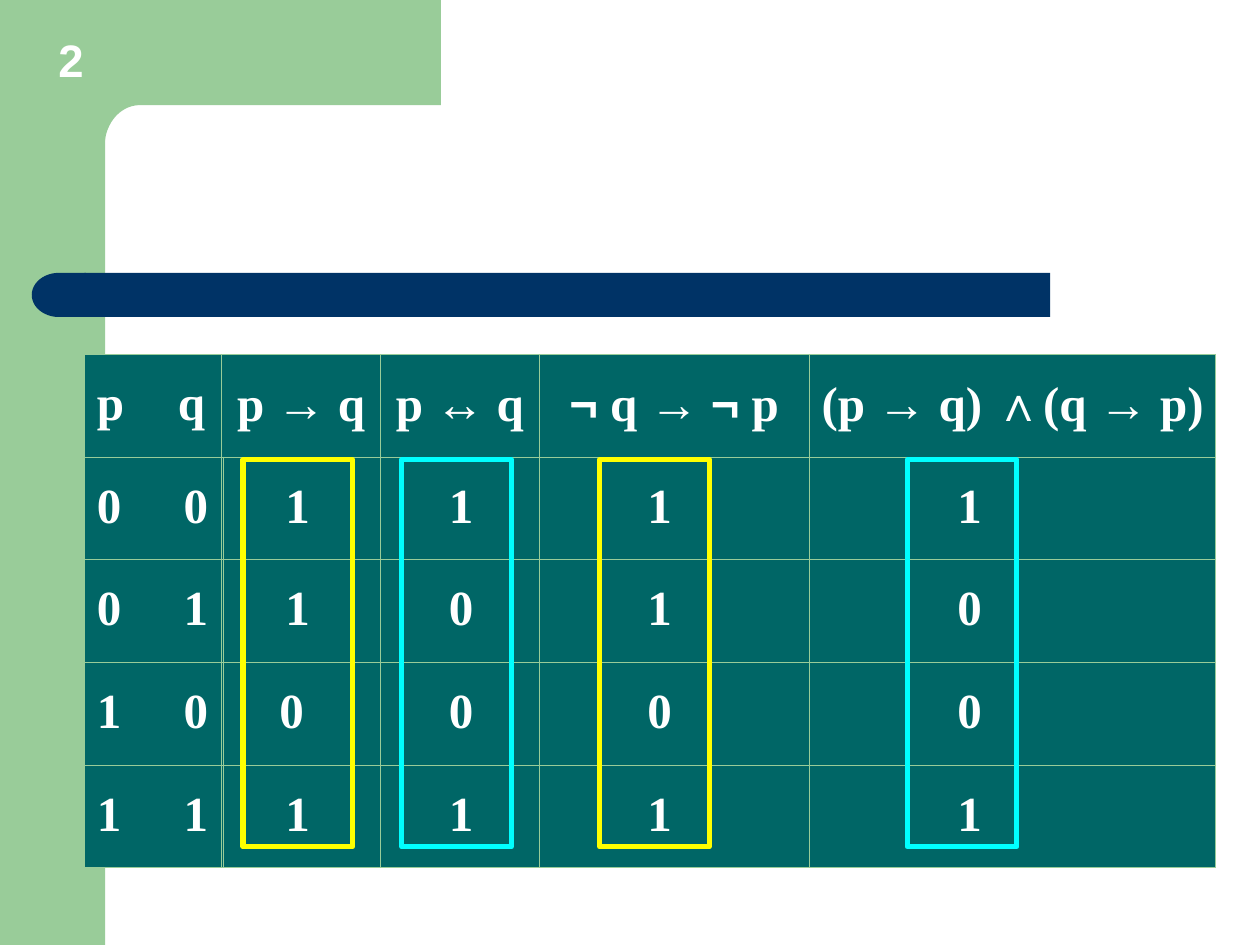
"""Build a slide with a truth table and its matching columns framed."""
import math
from itertools import groupby

from lxml import etree
from pptx import Presentation
from pptx.dml.color import RGBColor
from pptx.enum.shapes import MSO_SHAPE
from pptx.enum.text import MSO_ANCHOR, PP_ALIGN
from pptx.oxml.ns import qn
from pptx.util import Cm, Pt

RECT = MSO_SHAPE.RECTANGLE
ROUNDED = MSO_SHAPE.ROUNDED_RECTANGLE
DELAY = MSO_SHAPE.FLOWCHART_DELAY
BOTTOM = MSO_ANCHOR.BOTTOM
LEFT, CENTER = PP_ALIGN.LEFT, PP_ALIGN.CENTER

GREEN = RGBColor(0x99, 0xCC, 0x99)
NAVY = RGBColor(0x00, 0x33, 0x66)
TEAL = RGBColor(0x00, 0x66, 0x66)
WHITE = RGBColor(0xFF, 0xFF, 0xFF)
YELLOW = RGBColor(0xFF, 0xFF, 0x00)
CYAN = RGBColor(0x00, 0xFF, 0xFF)

SYMBOLS = "→↔¬∧"
ROW_H = 2.07
TABLE_TOP = 7.14
BODY_TOP = TABLE_TOP + ROW_H


def add_grid(s, left, top, widths, rows, sides):
    gf = s.shapes.add_table(len(rows), len(widths), Cm(left), Cm(top),
                            Cm(sum(widths)), Cm(ROW_H * len(rows)))
    table = gf.table
    table.first_row = table.horz_banding = False
    for col, width in zip(table.columns, widths):
        col.width = Cm(width)
    for i, row in enumerate(rows):
        table.rows[i].height = Cm(ROW_H)
        for j, text in enumerate(row):
            cell = table.cell(i, j)
            tc_pr = cell._tc.get_or_add_tcPr()
            for side in "LRTB":
                ln = etree.SubElement(tc_pr, qn(f"a:ln{side}"), w=str(Pt(0.45)))
                if side in sides:
                    fill = etree.SubElement(ln, qn("a:solidFill"))
                    etree.SubElement(fill, qn("a:srgbClr"), val=str(GREEN))
                else:
                    etree.SubElement(ln, qn("a:noFill"))
            cell.fill.solid()
            cell.fill.fore_color.rgb = TEAL
            p = cell.text_frame.paragraphs[0]
            p.alignment = CENTER
            p.line_spacing = 1.3
            for is_symbol, chars in groupby(text, lambda c: c in SYMBOLS):
                r = p.add_run()
                r.text = "".join(chars)
                r.font.name = "Arial" if is_symbol else "Times New Roman"
                r.font.size = Pt(28)
                r.font.bold = True
                r.font.color.rgb = WHITE
    return table


def add_box(s, kind, left, top, width, height, color):
    sp = s.shapes.add_shape(kind, Cm(left), Cm(top), Cm(width), Cm(height))
    sp.shadow.inherit = False
    sp.fill.solid()
    sp.fill.fore_color.rgb = color
    sp.line.fill.background()
    return sp


prs = Presentation()
prs.slide_width, prs.slide_height = Cm(25.4), Cm(19.05)
s = prs.slides.add_slide(prs.slide_layouts[6])

add_box(s, RECT, 0, 0, 2.12, 19.05, GREEN)

arc = [(2.82 - 0.71 * math.cos(a), 2.95 - 0.83 * math.sin(a))
       for a in (math.radians(d) for d in range(90, -1, -6))]
corner = [(8.89, 0), (8.89, 2.12), *arc, (2.11, 3.25), (1.27, 3.25)]
fb = s.shapes.build_freeform(Cm(1.27), 0)
fb.add_line_segments([(Cm(x), Cm(y)) for x, y in corner])
sp = fb.convert_to_shape()
sp.shadow.inherit = False
sp.fill.solid()
sp.fill.fore_color.rgb = GREEN
sp.line.fill.background()

sp = add_box(s, ROUNDED, 1.7, 5.5, 19.47, 0.89, NAVY)
sp.adjustments[0] = 0
sp = add_box(s, DELAY, 0.64, 5.5, 1.09, 0.89, NAVY)
sp.rotation = 180

header = ["p\tq", "p → q", "p ↔ q", "¬ q → ¬ p", "(p → q) ∧(q → p)"]
inputs = ["0\t0", "0\t1", "1\t0", "1\t1"]
table = add_grid(s, 1.7, TABLE_TOP, [2.77, 3.2, 3.2, 5.44, 8.2],
                 [header] + [[pair, "", "", "", ""] for pair in inputs], "LRTB")
table.cell(0, 4).text_frame.paragraphs[0].alignment = LEFT
table.cell(0, 4).margin_right = 0
for i in range(len(table.rows)):
    p = table.cell(i, 0).text_frame.paragraphs[0]
    p.alignment = LEFT
    tabs = etree.SubElement(p._p.get_or_add_pPr(), qn("a:tabLst"))
    stop = Cm(1.75 if i else 1.63)
    etree.SubElement(tabs, qn("a:tab"), pos=str(stop), algn="l")

results = [
    (4.5, 3, ["1", "1", "0 ", "1"], "LTB", 4.9, YELLOW),
    (7.9, 2.79, "1001", "TB", 8.1, CYAN),
    (11.1, 4.39, "1101", "TB", 12.09, YELLOW),
    (16.89, 5.31, "1001", "TB", 18.29, CYAN),
]
for left, width, values, sides, frame_left, color in results:
    add_grid(s, left, BODY_TOP, [width], [[v] for v in values], sides)
    sp = add_box(s, RECT, frame_left, 9.27, 2.21, 7.8, color)
    sp.fill.background()
    sp.line.color.rgb = color
    sp.line.width = Pt(3)

sp = s.shapes.add_textbox(0, Cm(0.53), Cm(2.87), Cm(1.35))
tf = sp.text_frame
tf.word_wrap = True
tf.vertical_anchor = BOTTOM
p = tf.paragraphs[0]
p.alignment = CENTER
r = p.add_run()
r.text = "2"
r.font.name = "Arial"
r.font.size = Pt(26)
r.font.bold = True
r.font.color.rgb = WHITE

prs.save("out.pptx")
